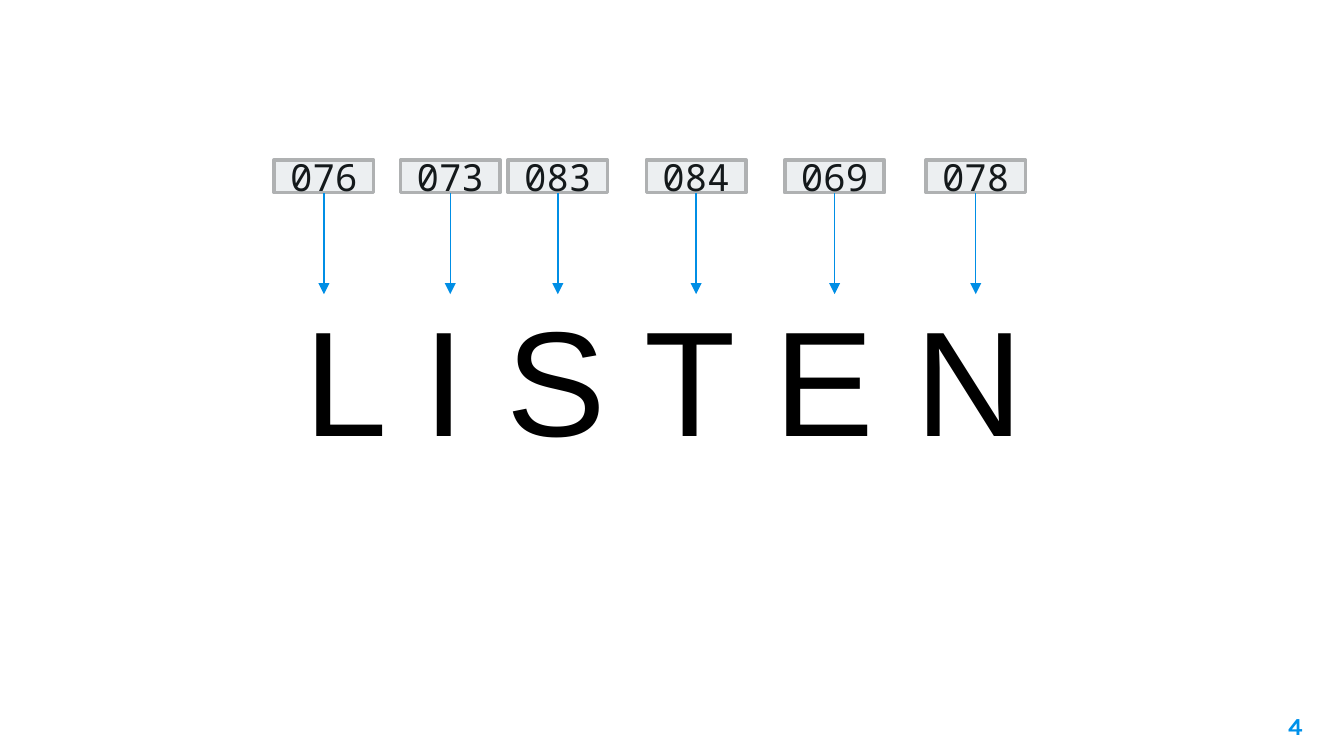
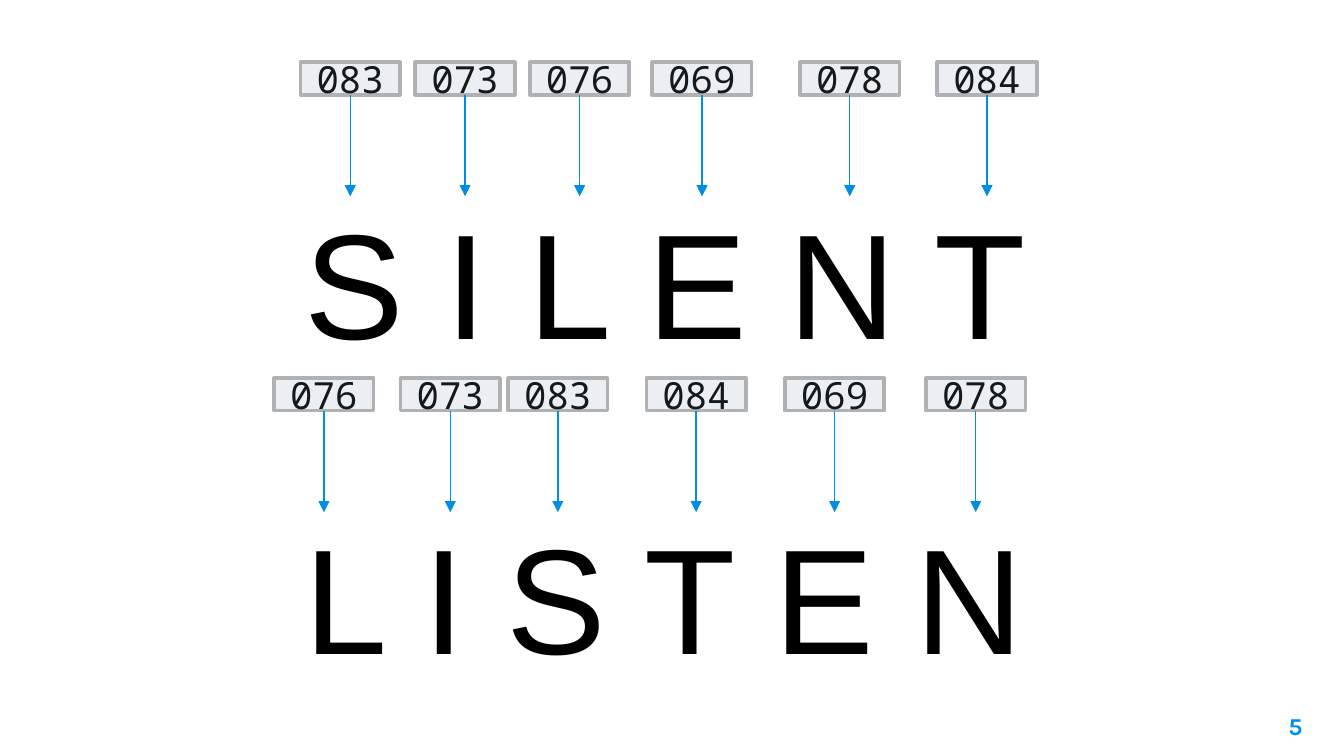
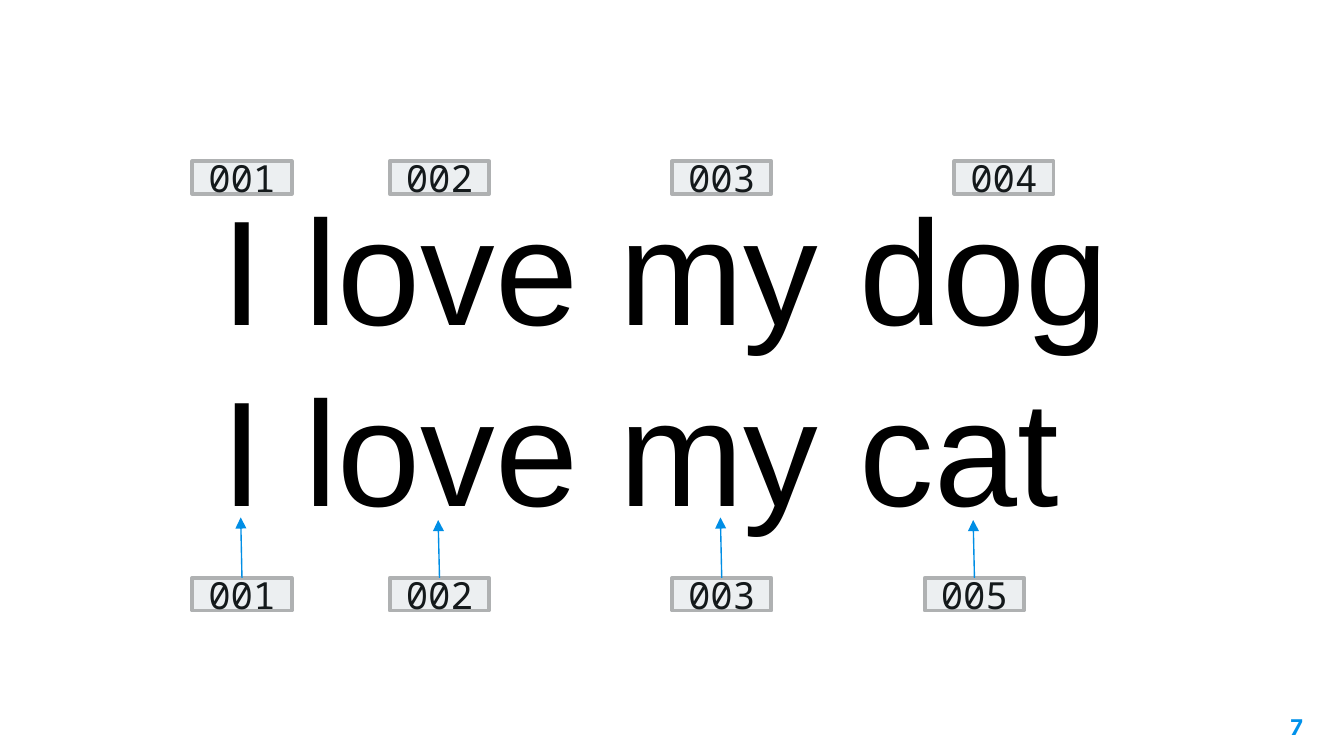
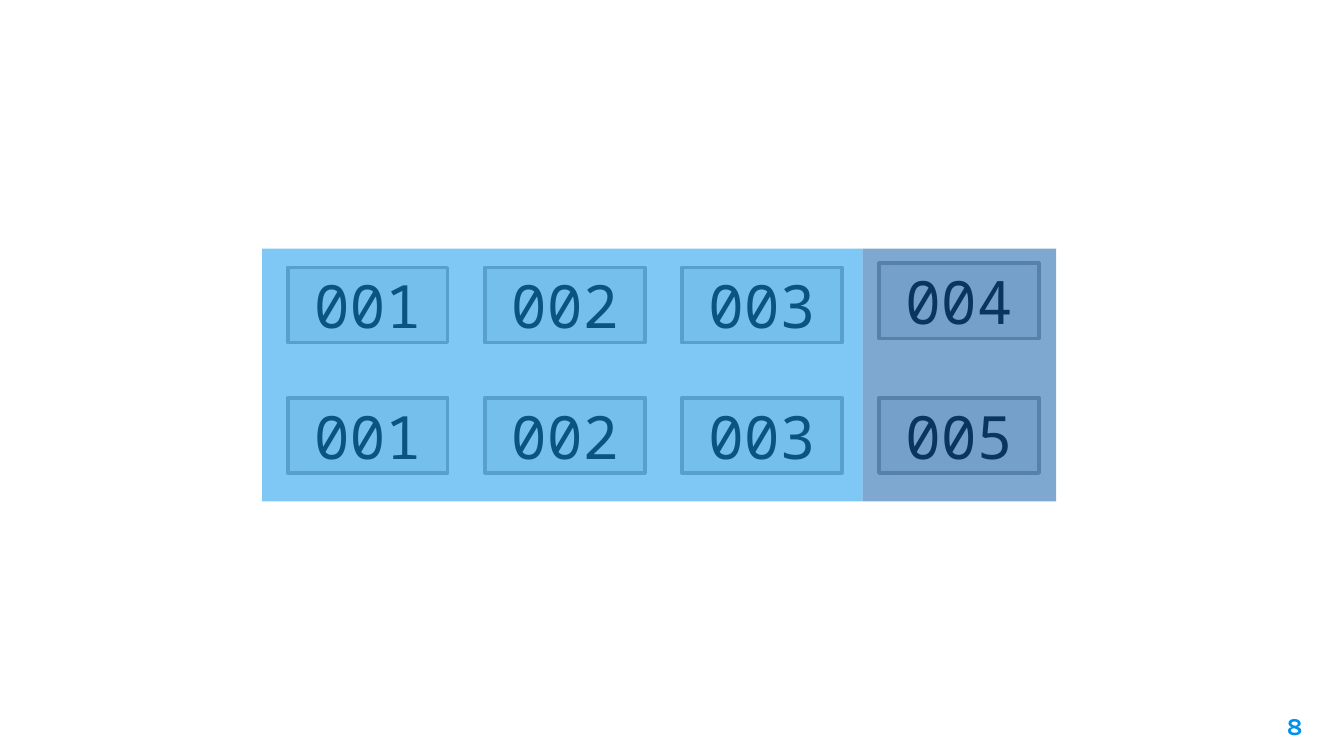
from dataclasses import dataclass

from lxml import etree
from pptx import Presentation
from pptx import util as u
from pptx.dml import color
from pptx.enum import shapes, text
from pptx.oxml import ns

Pt = u.Pt


@dataclass(frozen=True)
class Theme:
    # Colours
    word: str = "000000"
    code: str = "14191B"
    code_fill: str = "ECEFF1"
    code_line: str = "AFB1B2"
    arrow: str = "008EE5"
    accent: str = "0091EA"
    label_band: str = "0053A3"
    # Fonts and type sizes
    word_font: str = "Arial"
    code_font: str = "Noto Sans Mono"
    number_font: str = "Karla"
    word_size: float = 80
    code_size: float = 20
    grid_size: float = 32
    number_size: float = 13
    # Shared measures
    code_box: tuple = (53.3, 17.5)
    grid_box: tuple = (85.7, 40.3)
    word_height: float = 104.4


def rgb(value):
    return color.RGBColor.from_string(value)


def apply(target, values):
    for name, value in values.items():
        setattr(target, name, value)


class Deck:
    """Holds the theme and the slide being filled."""

    def __init__(self, theme):
        self.theme = theme
        self.presentation = Presentation()
        apply(self.presentation, {"slide_width": Pt(720), "slide_height": Pt(405)})
        self.slide = None

    def new_slide(self, number):
        blank = self.presentation.slide_layouts[6]
        self.slide = self.presentation.slides.add_slide(blank)
        theme = self.theme
        box = self.text_box(
            str(number), (661.7, 373.7, 43.2, 31), theme.number_font,
            theme.number_size, theme.accent, bold=True, align=text.PP_ALIGN.RIGHT)
        apply(box.text_frame, {"margin_top": Pt(7.2), "margin_bottom": Pt(7.2)})

    def set_text(self, shape, words, font, size, ink, bold=False,
                 align=text.PP_ALIGN.LEFT, anchor=text.MSO_ANCHOR.TOP):
        frame = shape.text_frame
        apply(frame, {"word_wrap": True, "vertical_anchor": anchor})
        paragraph = frame.paragraphs[0]
        paragraph.alignment = align
        run = paragraph.add_run()
        run.text = words
        apply(run.font, {"name": font, "size": Pt(size), "bold": bold})
        run.font.color.rgb = rgb(ink)

    def text_box(self, words, place, *style, **options):
        box = self.slide.shapes.add_textbox(*map(Pt, place))
        self.set_text(box, words, *style, **options)
        return box

    def word(self, words, left, top, width):
        theme = self.theme
        box = self.text_box(words, (left, top, width, theme.word_height),
                            theme.word_font, theme.word_size, theme.word)
        box.text_frame.auto_size = text.MSO_AUTO_SIZE.SHAPE_TO_FIT_TEXT

    def rectangle(self, place, fill):
        shape = self.slide.shapes.add_shape(
            shapes.MSO_SHAPE.RECTANGLE, *map(Pt, place))
        shape.shadow.inherit = False
        shape.fill.solid()
        shape.fill.fore_color.rgb = rgb(fill)
        return shape

    def code(self, digits, left, top, box_size, type_size):
        theme = self.theme
        shape = self.rectangle((left, top, *box_size), theme.code_fill)
        shape.line.color.rgb = rgb(theme.code_line)
        shape.line.width = Pt(2)
        self.set_text(shape, digits, theme.code_font, type_size, theme.code,
                      align=text.PP_ALIGN.CENTER, anchor=text.MSO_ANCHOR.MIDDLE)
        return shape

    def small_code(self, digits, left, top):
        return self.code(digits, left, top, self.theme.code_box, self.theme.code_size)

    def band(self, place, fill):
        """Half-transparent overlay without an outline."""
        shape = self.rectangle(place, fill)
        shape.line.fill.background()
        colour = shape.element.spPr.find(ns.qn("a:solidFill"))[0]
        etree.SubElement(colour, ns.qn("a:alpha"), val="50000")

    def arrow(self, source, side, tip_x, tip_y):
        connector = self.slide.shapes.add_connector(
            shapes.MSO_CONNECTOR.STRAIGHT, 0, 0, Pt(tip_x), Pt(tip_y))
        connector.begin_connect(source, side)
        connector.line.color.rgb = rgb(self.theme.arrow)
        connector.line.width = Pt(0.75)
        properties = connector.element.spPr
        etree.SubElement(properties.find(ns.qn("a:ln")), ns.qn("a:tailEnd"),
                         type="triangle")
        etree.SubElement(properties, ns.qn("a:effectLst"))

    def spelled_word(self, letters, lefts, top):
        """Spaced-out word with the character code above each letter."""
        width, height = self.theme.code_box
        self.word(" ".join(letters), 156.2, top + 64.8, 406.8)
        for letter, left in zip(letters, lefts):
            box = self.small_code(f"{ord(letter):03}", left, top)
            self.arrow(box, 2, left + width / 2, top + height + 54.4)


LISTEN_LEFTS = (146.9, 214.6, 272.2, 346.3, 420.5, 496.1)
SILENT_LEFTS = (161, 222.5, 283.9, 349.4, 428.6, 502.1)


def main():
    theme = Theme()
    deck = Deck(theme)

    # Letters as codes: one word
    deck.new_slide(4)
    deck.spelled_word("LISTEN", LISTEN_LEFTS, 85.7)

    # Same letters in another order
    deck.new_slide(5)
    deck.spelled_word("LISTEN", LISTEN_LEFTS, 202.5)
    deck.spelled_word("SILENT", SILENT_LEFTS, 33.3)

    # Words as codes: two sentences
    deck.new_slide(7)
    deck.word("I love my dog", 111.6, 90.7, 496.1)
    shared_words = [("001", 103), ("002", 208.8), ("003", 360)]
    for digits, left in shared_words + [("004", 511.2)]:
        deck.small_code(digits, left, 86.4)
    deck.word("I love my cat", 111.6, 187.9, 496.1)
    tips = (277.2, 278.6, 277.2, 278.6)
    for (digits, left), tip in zip(shared_words + [("005", 495.4)], tips):
        box = deck.small_code(digits, left, 309.6)
        deck.arrow(box, 0, left + theme.code_box[0] / 2 - 0.7, tip)

    # Code sequences with the differing column set apart
    deck.new_slide(8)
    rows = [(143.3, 141.1, "004"), (213.1, 213.1, "005")]
    for top, last_top, last_code in rows:
        cells = [("001", top), ("002", top), ("003", top), (last_code, last_top)]
        for column, (digits, cell_top) in enumerate(cells):
            deck.code(digits, 154.1 + column * 105.6, cell_top,
                      theme.grid_box, theme.grid_size)
    deck.band((140.4, 133.2, 321.8, 135.4), theme.accent)
    deck.band((462.2, 133.2, 103.7, 135.4), theme.label_band)

    deck.presentation.save("out.pptx")


if __name__ == "__main__":
    main()
